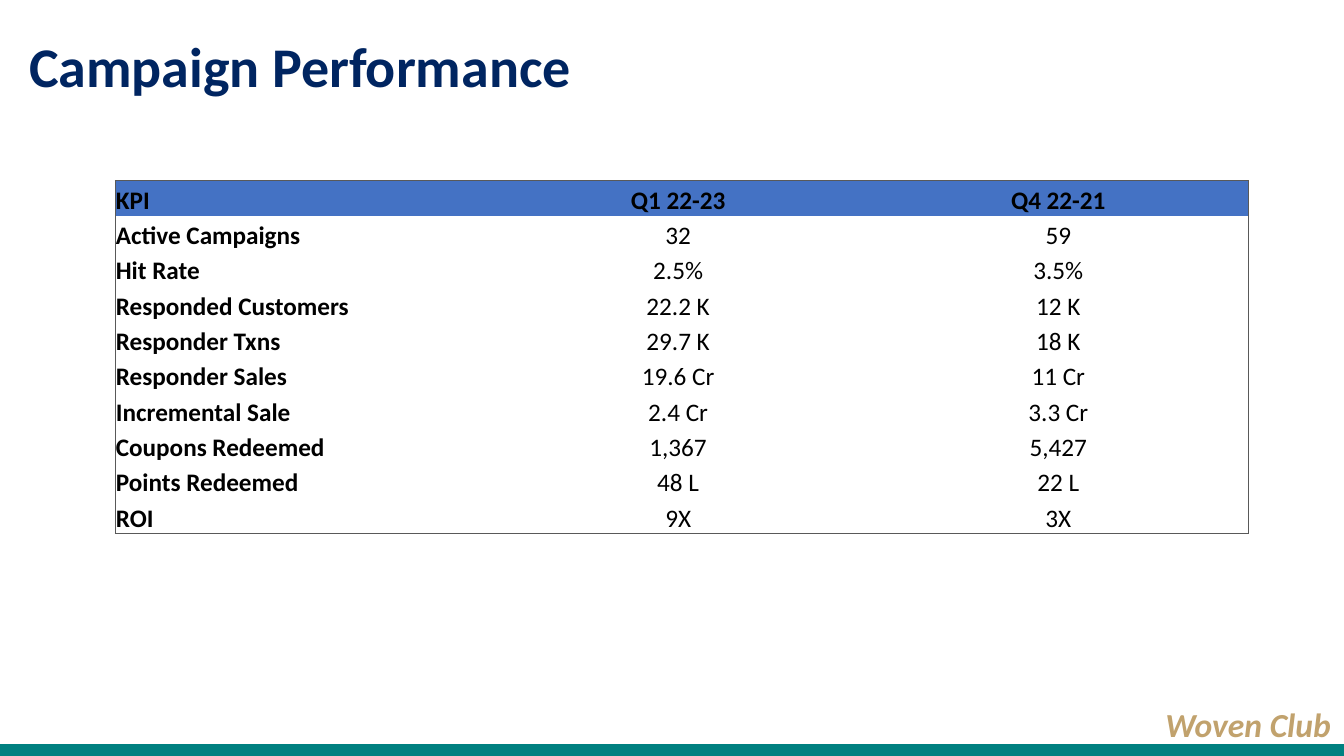
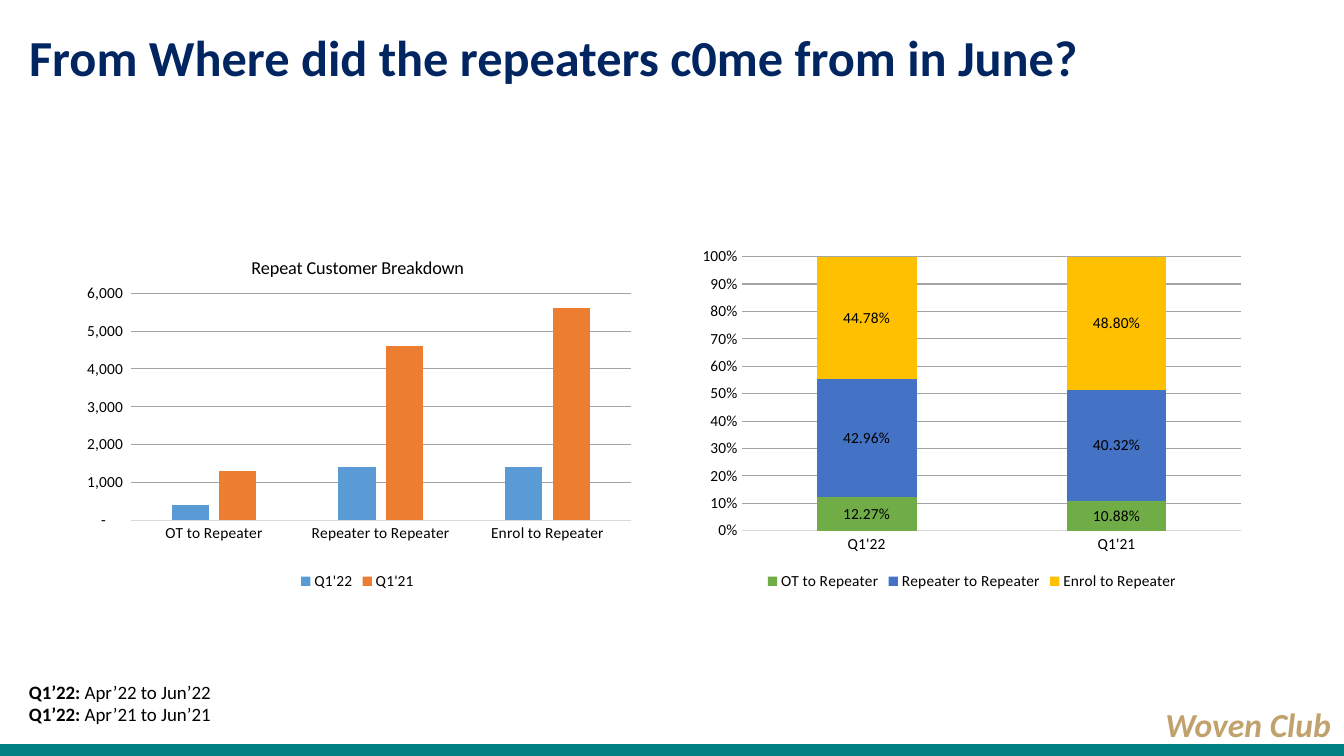
import pptx
import pptx.chart.data
import pptx.dml.color
import pptx.enum.chart
import pptx.enum.shapes
import pptx.enum.text
import pptx.oxml
import pptx.oxml.ns
import pptx.util

Cm = pptx.util.Cm
Pt = pptx.util.Pt
Align = pptx.enum.text.PP_ALIGN
Anchor = pptx.enum.text.MSO_ANCHOR
ChartType = pptx.enum.chart.XL_CHART_TYPE

WIDTH, HEIGHT = 33.87, 19.05
BAND_HEIGHT = 0.3
MARGIN = 0.48
FONT = "Calibri"
NAVY, TEAL, GOLD, BLUE = "002561", "008080", "C1A26D", "4472C4"
BLACK, BORDER, AXIS, GRID = "000000", "595959", "D9D9D9", "A5A5A5"
NO_STYLE = "{2D5ABB26-0587-4C30-8999-92F81FD0307C}"
BRAND = "Woven Club"


def color(value):
    return pptx.dml.color.RGBColor.from_string(value)


def set_font(font, size, fill=BLACK, bold=False, italic=False):
    font.name, font.size = FONT, Pt(size)
    font.bold, font.italic = bold, italic
    font.color.rgb = color(fill)


def add_text(paragraph, text, align=Align.LEFT, **font_format):
    """Append one run; font_format goes to set_font."""
    run = paragraph.add_run()
    run.text = text
    paragraph.alignment = align
    set_font(run.font, **font_format)


def set_border(cell, sides):
    """Draw thin lines on the given sides, a subset of "LRTB"."""
    properties = cell._tc.get_or_add_tcPr()
    for index, side in enumerate(side for side in "LRTB" if side in sides):
        properties.insert(index, pptx.oxml.parse_xml(
            f'<a:ln{side} {pptx.oxml.ns.nsdecls("a")} w="6350"><a:solidFill>'
            f'<a:srgbClr val="{BORDER}"/></a:solidFill></a:ln{side}>'))


def set_plot_area(chart, left, top, width, height):
    """Fix the inner plot area, in fractions of the chart."""
    parts = "".join(f'<c:{name} val="{value}"/>' for name, value in (
        ("layoutTarget", "inner"), ("xMode", "edge"), ("yMode", "edge"),
        ("x", left), ("y", top), ("w", width), ("h", height)))
    layout = pptx.oxml.parse_xml(
        f'<c:layout {pptx.oxml.ns.nsdecls("c")}>'
        f'<c:manualLayout>{parts}</c:manualLayout></c:layout>')
    plot_area = chart._chartSpace.chart.plotArea
    for old_layout in plot_area.findall(pptx.oxml.ns.qn("c:layout")):
        plot_area.remove(old_layout)
    plot_area.insert(0, layout)


class Deck:
    def __init__(self):
        self.presentation = pptx.Presentation()
        self.presentation.slide_width = Cm(WIDTH)
        self.presentation.slide_height = Cm(HEIGHT)
        self.slide = None

    def add_slide(self, title, top, width, height, size):
        """Start a slide with its title, bottom band and brand name."""
        self.slide = self.presentation.slides.add_slide(
            self.presentation.slide_layouts[5])
        self.add_band()
        shape = self.slide.shapes.title
        shape.left, shape.top = Cm(MARGIN), Cm(top)
        shape.width, shape.height = Cm(width), Cm(height)
        frame = shape.text_frame
        frame.word_wrap = True
        frame.auto_size = pptx.enum.text.MSO_AUTO_SIZE.NONE
        frame.vertical_anchor = Anchor.MIDDLE
        frame.paragraphs[0].line_spacing = 0.9
        add_text(frame.paragraphs[0], title, size=size, fill=NAVY, bold=True)
        brand = self.add_text_box(29.03, 17.73, 4.85, 1.02)
        brand.vertical_anchor = Anchor.MIDDLE
        add_text(brand.paragraphs[0], BRAND, align=Align.CENTER,
                 size=24, fill=GOLD, bold=True, italic=True)

    def add_band(self):
        band = self.slide.shapes.add_shape(
            pptx.enum.shapes.MSO_SHAPE.RECTANGLE,
            0, Cm(HEIGHT - BAND_HEIGHT), Cm(WIDTH), Cm(BAND_HEIGHT))
        band.shadow.inherit = False
        band.fill.solid()
        band.fill.fore_color.rgb = color(TEAL)
        band.line.fill.background()

    def add_text_box(self, left, top, width, height):
        frame = self.slide.shapes.add_textbox(
            Cm(left), Cm(top), Cm(width), Cm(height)).text_frame
        frame.word_wrap = True
        return frame

    def add_definitions(self, left, top, width, height, definitions):
        frame = self.add_text_box(left, top, width, height)
        for index, (term, meaning) in enumerate(definitions):
            paragraph = frame.add_paragraph() if index else frame.paragraphs[0]
            add_text(paragraph, f"{term}: ", size=13.5, bold=True)
            add_text(paragraph, meaning, size=13.5)

    def add_table(self, left, top, column_widths, row_height, rows):
        table = self.slide.shapes.add_table(
            len(rows), len(column_widths), Cm(left), Cm(top),
            Cm(sum(column_widths)), Cm(row_height * len(rows))).table
        table.horz_banding = False
        table._tbl.tblPr.find(
            pptx.oxml.ns.qn("a:tableStyleId")).text = NO_STYLE
        for column, width in zip(table.columns, column_widths):
            column.width = Cm(width)
        for row_index, row in enumerate(rows):
            table.rows[row_index].height = Cm(row_height)
            for column_index, text in enumerate(row):
                is_header, is_label = row_index == 0, column_index == 0
                cell = table.cell(row_index, column_index)
                cell.vertical_anchor = Anchor.BOTTOM
                cell.margin_left = cell.margin_right = Cm(0.02)
                cell.margin_top, cell.margin_bottom = Cm(0.02), 0
                if is_header:
                    cell.fill.solid()
                    cell.fill.fore_color.rgb = color(BLUE)
                else:
                    cell.fill.background()
                add_text(cell.text_frame.paragraphs[0], text, size=18,
                         align=Align.LEFT if is_label else Align.CENTER,
                         bold=is_header or is_label)
                sides = {"L": is_label, "R": column_index == len(row) - 1,
                         "T": is_header, "B": row_index == len(rows) - 1}
                set_border(cell, [side for side in sides if sides[side]])

    def add_column_chart(self, kind, left, width, categories, series,
                         axis_format, gap, overlap):
        """Add a column chart; series maps a name to (colour, values)."""
        data = pptx.chart.data.CategoryChartData()
        data.categories = categories
        for name, (_, values) in series.items():
            data.add_series(name, values)
        chart = self.slide.shapes.add_chart(
            kind, Cm(left), Cm(6.05), Cm(width), Cm(8.94), data).chart
        chart.has_title = False
        set_font(chart.font, 11)
        chart.has_legend = True
        chart.legend.position = pptx.enum.chart.XL_LEGEND_POSITION.BOTTOM
        chart.legend.include_in_layout = False
        set_font(chart.legend.font, 11)
        for axis in (chart.category_axis, chart.value_axis):
            axis.major_tick_mark = pptx.enum.chart.XL_TICK_MARK.NONE
            set_font(axis.tick_labels.font, 11)
        category_line = chart.category_axis.format.line
        category_line.color.rgb, category_line.width = color(AXIS), Pt(0.75)
        chart.value_axis.format.line.fill.background()
        grid_line = chart.value_axis.major_gridlines.format.line
        grid_line.color.rgb, grid_line.width = color(GRID), Pt(0.75)
        chart.value_axis.tick_labels.number_format = axis_format
        chart.value_axis.tick_labels.number_format_is_linked = False
        plot = chart.plots[0]
        plot.gap_width, plot.overlap = gap, overlap
        plot.vary_by_categories = False
        for plot_series, (fill, _) in zip(plot.series, series.values()):
            plot_series.format.fill.solid()
            plot_series.format.fill.fore_color.rgb = color(fill)
        return chart


def add_campaign_slide(deck):
    deck.add_slide("Campaign Performance", 0.08, 20.83, 3.33, 40)
    deck.add_table(2.9, 4.55, (9.4, 9.58, 9.58), 0.89, (
        ("KPI", "Q1 22-23", "Q4 22-21"),
        ("Active Campaigns", "32", "59"),
        ("Hit Rate", "2.5%", "3.5%"),
        ("Responded Customers", "22.2 K", "12 K"),
        ("Responder Txns", "29.7 K", "18 K"),
        ("Responder Sales", "19.6 Cr", "11 Cr"),
        ("Incremental Sale", "2.4 Cr", "3.3 Cr"),
        ("Coupons Redeemed", "1,367", "5,427"),
        ("Points Redeemed", "48 L", "22 L"),
        ("ROI", "9X", "3X")))


def add_repeaters_slide(deck):
    deck.add_slide("From Where did the repeaters c0me from in June?",
                   0.03, 29.64, 2.95, 36)
    sources = ("OT to Repeater", "Repeater to Repeater", "Enrol to Repeater")
    quarters = ("Q1'22", "Q1'21")

    counts = deck.add_column_chart(
        ChartType.COLUMN_CLUSTERED, 1.68, 14.66, sources,
        dict(zip(quarters, (("5B9BD5", (400, 1400, 1400)),
                            ("ED7D31", (1300, 4600, 5600))))),
        '_ * #,##0_ ;_ * \\-#,##0_ ;_ * "-"??_ ;_ ', 219, -27)
    counts.has_title = True
    add_text(counts.chart_title.text_frame.paragraphs[0],
             "Repeat Customer Breakdown", align=Align.CENTER, size=13)
    counts.chart_title.include_in_layout = False
    set_plot_area(counts, 0.11, 0.15, 0.86, 0.64)

    shares = deck.add_column_chart(
        ChartType.COLUMN_STACKED_100, 17.42, 14.15, quarters,
        dict(zip(sources, (("70AD47", (0.1227, 0.1088)),
                           (BLUE, (0.4296, 0.4032)),
                           ("FFC000", (0.4478, 0.488))))),
        "0%", 150, 100)
    for series in shares.plots[0].series:
        labels = series.data_labels
        labels.show_value = True
        labels.position = pptx.enum.chart.XL_LABEL_POSITION.CENTER
        labels.number_format = "0.00%"
        labels.number_format_is_linked = False
        set_font(labels.font, 11)

    deck.add_definitions(MARGIN, 17.02, 5.54, 1.42, (
        ("Q1’22", "Apr’22 to Jun’22"),
        ("Q1’22", "Apr’21 to Jun’21")))


def main():
    deck = Deck()
    add_campaign_slide(deck)
    add_repeaters_slide(deck)
    deck.presentation.save("out.pptx")


if __name__ == "__main__":
    main()
